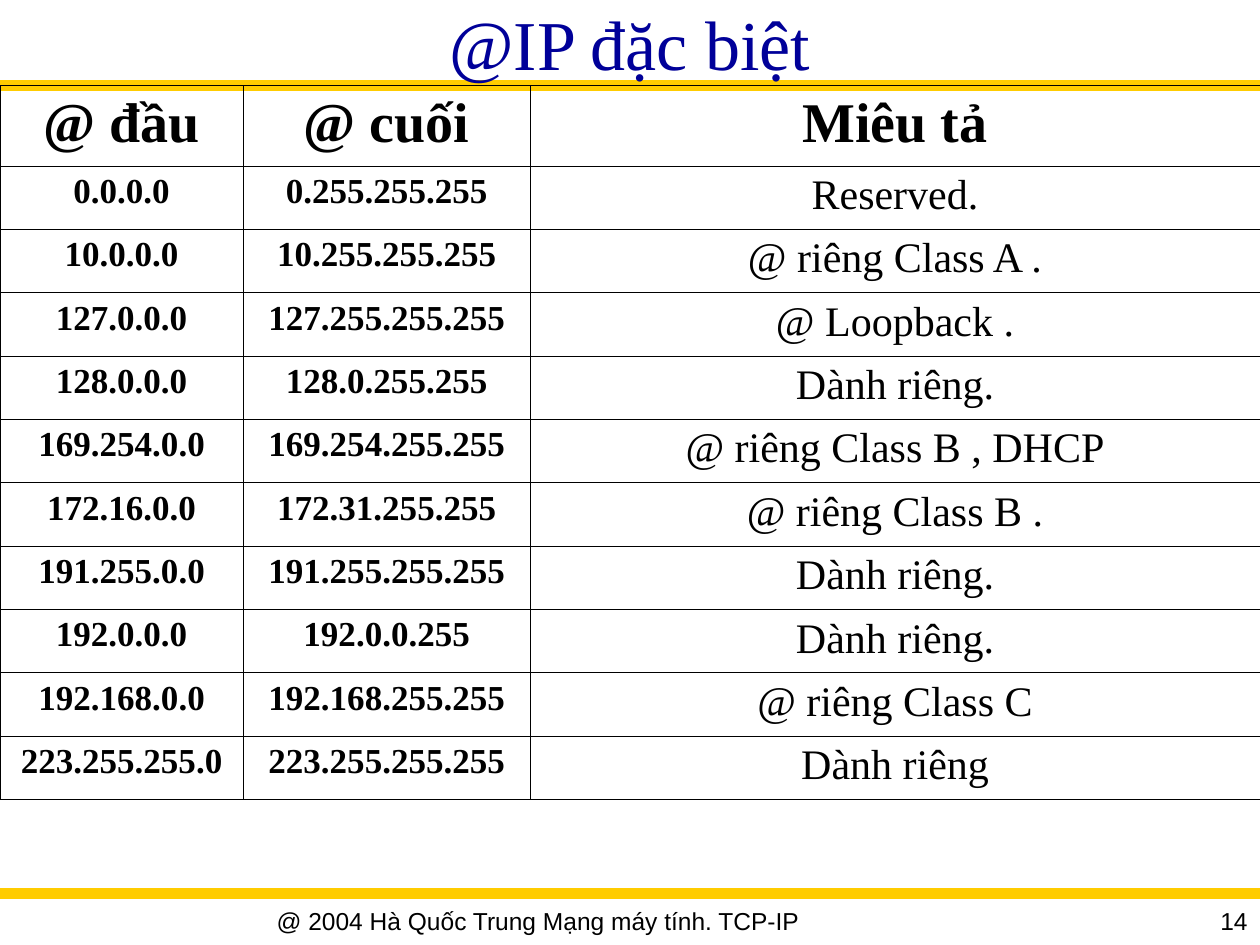
from lxml.etree import SubElement
from pptx import Presentation
from pptx.dml.color import RGBColor
from pptx.enum.shapes import MSO_CONNECTOR
from pptx.enum.text import MSO_ANCHOR, PP_ALIGN
from pptx.oxml.ns import qn
from pptx.util import Pt

BLACK = RGBColor(0x00, 0x00, 0x00)
NAVY = RGBColor(0x00, 0x00, 0x99)
GOLD = RGBColor(0xFF, 0xCC, 0x00)
SERIF = "Times New Roman"
SANS = "Arial"

SLIDE_WIDTH, SLIDE_HEIGHT = 720, 540
TITLE_HEIGHT = 49
FOOTER_TOP = 514
COLUMN_WIDTHS = (139, 164, 417)
HEADING_HEIGHT, RANGE_HEIGHT = 45.8, 36.2
HANGING_INDENT = 27

HEADINGS = ("@ đầu", "@ cuối", "Miêu tả")
ADDRESS_RANGES = (
    ("0.0.0.0", "0.255.255.255", "Reserved."),
    ("10.0.0.0", "10.255.255.255", "@ riêng Class A ."),
    ("127.0.0.0", "127.255.255.255", "@ Loopback ."),
    ("128.0.0.0", "128.0.255.255", "Dành riêng."),
    ("169.254.0.0", "169.254.255.255", "@ riêng Class B , DHCP"),
    ("172.16.0.0", "172.31.255.255", "@ riêng Class B ."),
    ("191.255.0.0", "191.255.255.255", "Dành riêng."),
    ("192.0.0.0", "192.0.0.255", "Dành riêng."),
    ("192.168.0.0", "192.168.255.255", "@ riêng Class C"),
    ("223.255.255.0", "223.255.255.255", "Dành riêng"),
)

TITLE = {"name": SERIF, "size": Pt(40)}
HEADING = {"name": SERIF, "size": Pt(32), "bold": True}
ADDRESS = {"name": SERIF, "size": Pt(20), "bold": True}
DESCRIPTION = {"name": SERIF, "size": Pt(24), "bold": False}
FOOTER = {"name": SANS, "size": Pt(14)}


class SlideBuilder:
    def __init__(self, slide, rule_color, rule_width, border_width):
        self.slide = slide
        self.rule_color = rule_color
        self.rule_width = rule_width
        self.border_width = border_width

    def wording(self, paragraph, wording, font_format, color=BLACK, align=PP_ALIGN.CENTER):
        paragraph.alignment = align
        run = paragraph.add_run()
        run.text = wording
        for attribute, value in font_format.items():
            setattr(run.font, attribute, value)
        run.font.color.rgb = color

    def rule(self, y):
        rule = self.slide.shapes.add_connector(
            MSO_CONNECTOR.STRAIGHT, Pt(0), Pt(y), Pt(SLIDE_WIDTH), Pt(y))
        rule.line.color.rgb = self.rule_color
        rule.line.width = Pt(self.rule_width)
        SubElement(rule._element.spPr, qn("a:effectLst"))

    def text(self, wording, bounds, font_format, anchor=MSO_ANCHOR.TOP, **style):
        frame = self.slide.shapes.add_textbox(*map(Pt, bounds)).text_frame
        frame.word_wrap = True
        frame.vertical_anchor = anchor
        self.wording(frame.paragraphs[0], wording, font_format, **style)

    def border(self, cell):
        properties = cell._tc.get_or_add_tcPr()
        for side in ("lnL", "lnR", "lnT", "lnB"):
            line = SubElement(properties, qn(f"a:{side}"), w=str(Pt(self.border_width)))
            fill = SubElement(line, qn("a:solidFill"))
            SubElement(fill, qn("a:srgbClr"), val=str(BLACK))

    def cell(self, cell, wording, font_format):
        self.border(cell)
        cell.fill.background()
        paragraph = cell.text_frame.paragraphs[0]
        properties = paragraph._p.get_or_add_pPr()
        properties.set("marL", str(Pt(HANGING_INDENT)))
        properties.set("indent", str(Pt(-HANGING_INDENT)))
        self.wording(paragraph, wording, font_format)

    def table(self, top, records, heights, formats):
        table = self.slide.shapes.add_table(
            len(records), len(COLUMN_WIDTHS), Pt(0), Pt(top),
            Pt(sum(COLUMN_WIDTHS)), Pt(sum(heights))).table
        table.first_row = table.horz_banding = False
        for column, width in zip(table.columns, COLUMN_WIDTHS):
            column.width = Pt(width)
        for row, height, record, row_formats in zip(table.rows, heights, records, formats):
            row.height = Pt(height)
            for cell, wording, font_format in zip(row.cells, record, row_formats):
                self.cell(cell, wording, font_format)


def main():
    presentation = Presentation()
    presentation.slide_width = Pt(SLIDE_WIDTH)
    presentation.slide_height = Pt(SLIDE_HEIGHT)
    slide = presentation.slides.add_slide(presentation.slide_layouts[6])
    builder = SlideBuilder(slide, rule_color=GOLD, rule_width=6, border_width=0.45)

    for y in (TITLE_HEIGHT, 510.5):
        builder.rule(y)
    builder.text("@IP đặc biệt", (0, 0, SLIDE_WIDTH, TITLE_HEIGHT), TITLE,
                 anchor=MSO_ANCHOR.MIDDLE, color=NAVY)

    count = len(ADDRESS_RANGES)
    builder.table(
        TITLE_HEIGHT,
        (HEADINGS, *ADDRESS_RANGES),
        [HEADING_HEIGHT] + [RANGE_HEIGHT] * count,
        [(HEADING,) * 3] + [(ADDRESS, ADDRESS, DESCRIPTION)] * count)

    builder.text("@ 2004 Hà Quốc Trung Mạng máy tính. TCP-IP",
                 (0, FOOTER_TOP, 615, 26), FOOTER)
    builder.text("14", (618, FOOTER_TOP, 102, 22.5), FOOTER, align=PP_ALIGN.RIGHT)
    presentation.save("out.pptx")


if __name__ == "__main__":
    main()
